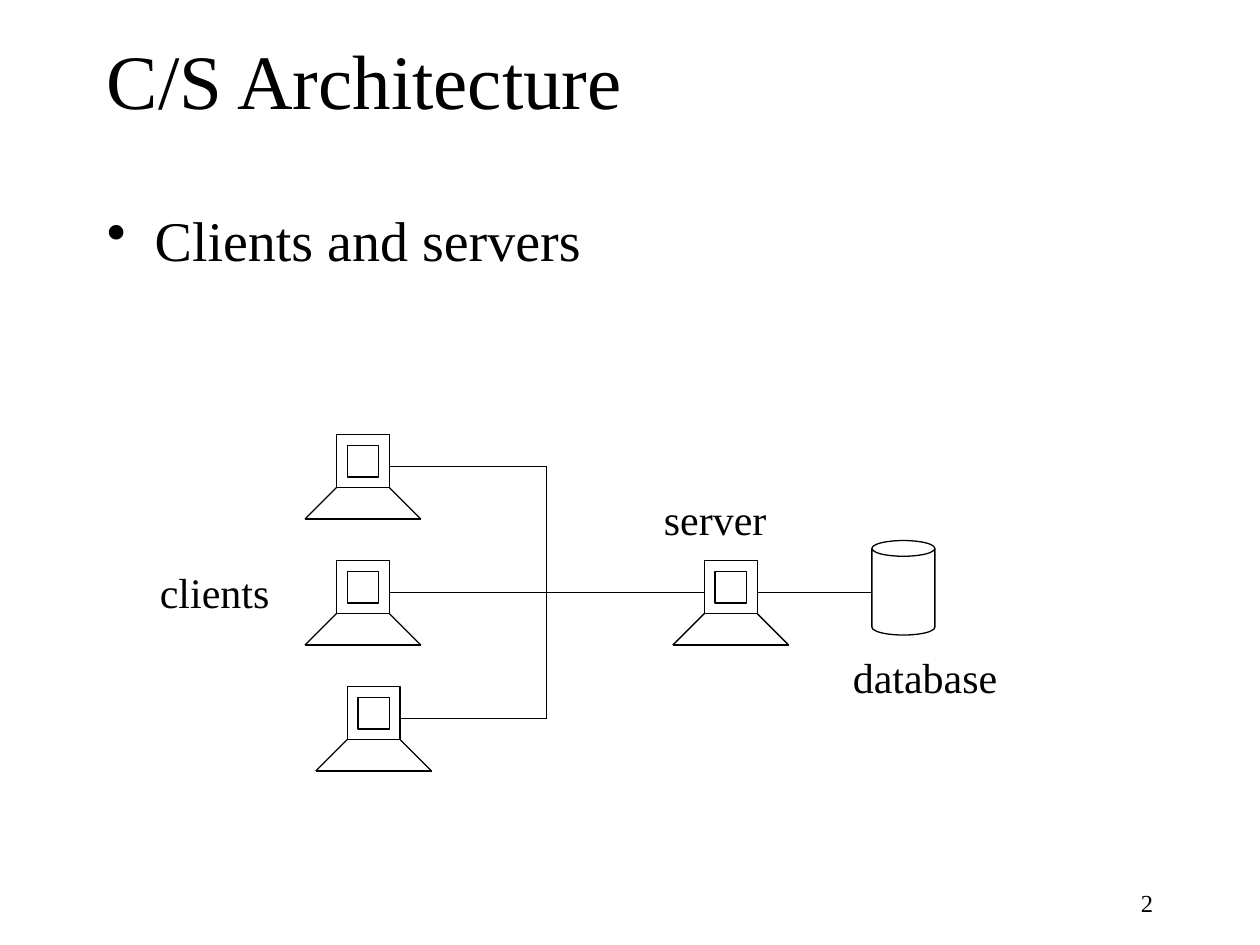
from lxml import etree
from pptx import Presentation
from pptx import util as u
from pptx.dml.color import RGBColor
from pptx.enum import shapes, text
from pptx.oxml.ns import qn

# Content: positions in inches
TITLE = ("C/S Architecture", (0.75, 0, 8.5, 1.25))
BULLET = ("Clients and servers", (0.75, 1.58, 8.5, 5.08))
PAGE_NUMBER = ("2", (7.17, 7, 2.08, 0.33))
LABELS = [
    ("server", (5.17, 3.87, 1.25, 0.5)),
    ("clients", (1.17, 4.45, 1.25, 0.5)),
    ("database", (6.67, 5.12, 1.58, 0.5)),
]
CLIENTS = [(2.67, 3.45), (2.67, 4.45), (2.755, 5.45)]  # monitor corners
SERVER = (5.59, 4.45)
DATABASE = (6.92, 4.29, 0.5, 0.75)
BUS_X = 4.34

# Computer proportions
MONITOR, SCREEN, BEZEL, BASE = 0.42, 0.25, 0.085, 0.25

THEME = {
    "font": "Times New Roman",
    "ink": RGBColor(0, 0, 0),
    "paper": RGBColor(255, 255, 255),
    "line": 0.75,
    "title": 44, "body": 32, "label": 24, "page": 14,
}

prs = Presentation()
prs.slide_width, prs.slide_height = u.Inches(10), u.Inches(7.5)
slide = prs.slides.add_slide(prs.slide_layouts[6])


def add_text(words, box, *, size, align=text.PP_ALIGN.LEFT,
             anchor=text.MSO_ANCHOR.TOP, bullet=None, indent=0.38):
    frame = slide.shapes.add_textbox(*map(u.Inches, box)).text_frame
    frame.word_wrap = True
    frame.vertical_anchor = anchor
    paragraph = frame.paragraphs[0]
    paragraph.text = words
    paragraph.alignment = align
    if bullet:
        props = paragraph._p.get_or_add_pPr()
        props.set("marL", str(u.Inches(indent)))
        props.set("indent", str(-u.Inches(indent)))
        etree.SubElement(props, qn("a:buChar")).set("char", bullet)
    font = paragraph.font
    font.name, font.size = THEME["font"], u.Pt(size)
    font.color.rgb = THEME["ink"]


def set_line(item):
    item.line.color.rgb = THEME["ink"]
    item.line.width = u.Pt(THEME["line"])


def add_outline(kind, box):
    outline = slide.shapes.add_shape(kind, *map(u.Inches, box))
    outline.shadow.inherit = False
    outline.fill.solid()
    outline.fill.fore_color.rgb = THEME["paper"]
    set_line(outline)


def add_line(start, end):
    line = slide.shapes.add_connector(
        shapes.MSO_CONNECTOR.STRAIGHT, *map(u.Inches, (*start, *end)))
    set_line(line)
    etree.SubElement(line._element.spPr, qn("a:effectLst"))


def add_computer(x, y):
    rect = shapes.MSO_SHAPE.RECTANGLE
    right, bottom = x + MONITOR, y + MONITOR
    add_outline(rect, (x, y, MONITOR, MONITOR))
    base = [(x, bottom), (x - BASE, bottom + BASE),
            (right + BASE, bottom + BASE), (right, bottom)]
    for start, end in zip(base, base[1:]):
        add_line(start, end)
    add_outline(rect, (x + BEZEL, y + BEZEL, SCREEN, SCREEN))


# Title, bullet and page number
add_text(*TITLE, size=THEME["title"], anchor=text.MSO_ANCHOR.MIDDLE)
add_text(*BULLET, size=THEME["body"], bullet="•")
add_text(*PAGE_NUMBER, size=THEME["page"], align=text.PP_ALIGN.RIGHT)

# Computers and database
for corner in CLIENTS + [SERVER]:
    add_computer(*corner)
add_outline(shapes.MSO_SHAPE.CAN, DATABASE)

# Network: the client level with the server runs straight through the bus
cable_heights = [y + BASE for _, y in CLIENTS]
server_height = SERVER[1] + BASE
for (x, _), height in zip(CLIENTS, cable_heights):
    end_x = SERVER[0] if height == server_height else BUS_X
    add_line((x + MONITOR, height), (end_x, height))
add_line((BUS_X, cable_heights[0]), (BUS_X, cable_heights[-1]))
add_line((SERVER[0] + MONITOR, server_height), (DATABASE[0], server_height))

# Labels
for words, box in LABELS:
    add_text(words, box, size=THEME["label"])

prs.save("out.pptx")
